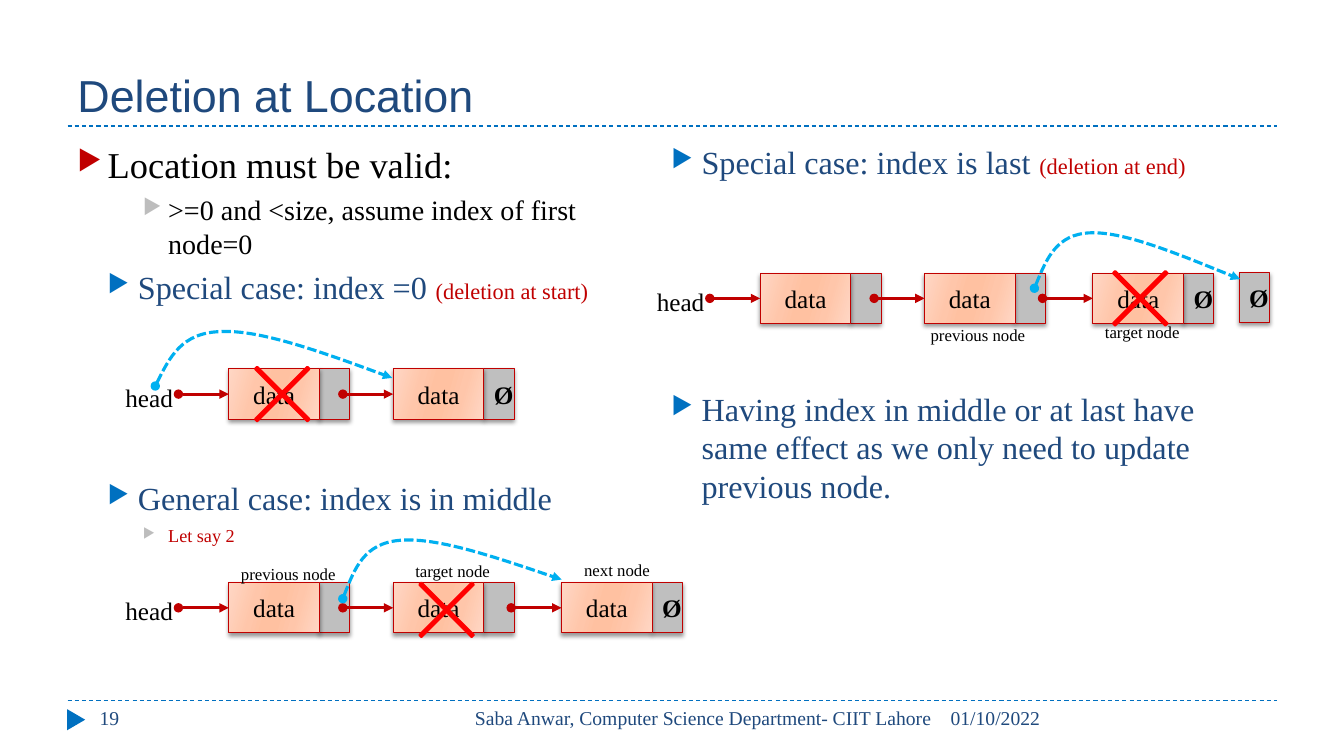
from lxml.etree import SubElement
from pptx import Presentation
from pptx.dml.color import RGBColor
from pptx.enum.dml import MSO_LINE
from pptx.enum.shapes import MSO_CONNECTOR, MSO_SHAPE
from pptx.enum.text import MSO_ANCHOR, PP_ALIGN
from pptx.oxml.ns import qn
from pptx.util import Inches, Pt

NAVY = RGBColor(0x1F, 0x49, 0x7D)
BLUE = RGBColor(0x00, 0x70, 0xC0)
SKY = RGBColor(0x00, 0xB0, 0xF0)
DARK_RED = RGBColor(0xC0, 0x00, 0x00)
RED = RGBColor(0xFF, 0x00, 0x00)
GRAY = RGBColor(0xBF, 0xBF, 0xBF)
BULLET_GRAY = RGBColor(0xBD, 0xBD, 0xBD)
BLACK = RGBColor(0x00, 0x00, 0x00)
PEACH_STOPS = [(0, "FFD7C5"), (30, "FFC6AA"), (45, "FFC1A1"),
               (55, "FFC1A1"), (73, "FFC6AA"), (100, "FFD7C5")]
SERIF = "Times New Roman"
LEVELS = [(0.3, 0.3, 6, DARK_RED), (0.6, 0.3, 5, BLUE), (0.9, 0.25, 5, BULLET_GRAY)]
NODE_OFFSETS = (1.14, 2.77, 4.44)
DATA_WIDTH, LINK_WIDTH, NODE_HEIGHT = 0.9, 0.3, 0.5


def add_element(parent, tag, **attributes):
    """Append a drawing element with the given attributes."""
    child = SubElement(parent, qn(tag))
    for name, value in attributes.items():
        child.set(name, str(value))
    return child


def write_text(paragraph, text, size=18, color=BLACK, font=SERIF, bold=False,
               align=PP_ALIGN.LEFT):
    """Add a formatted run to a paragraph."""
    paragraph.alignment = align
    run = paragraph.add_run()
    run.text = text
    run.font.name, run.font.size, run.font.bold = font, Pt(size), bold
    run.font.color.rgb = color


def add_text(slide, box, text, anchor=MSO_ANCHOR.TOP, **text_format):
    """Add a text box holding one line."""
    frame = slide.shapes.add_textbox(*map(Inches, box)).text_frame
    frame.word_wrap, frame.vertical_anchor = True, anchor
    write_text(frame.paragraphs[0], text, **text_format)


def set_bullet(paragraph, level):
    """Give a paragraph the arrow bullet and indent of its level."""
    margin, hanging, _, color = LEVELS[level]
    properties = paragraph._p.get_or_add_pPr()
    properties.set("marL", str(Inches(margin)))
    properties.set("indent", str(-Inches(hanging)))
    add_element(add_element(properties, "a:buClr"), "a:srgbClr", val=color)
    add_element(properties, "a:buSzPct", val=76000)
    add_element(properties, "a:buChar", char="▶")


def add_outline(slide, box, items):
    """Add a bulleted list of (level, runs) items."""
    frame = slide.shapes.add_textbox(*map(Inches, box)).text_frame
    frame.word_wrap = True
    for index, (level, runs) in enumerate(items):
        paragraph = frame.add_paragraph() if index else frame.paragraphs[0]
        set_bullet(paragraph, level)
        paragraph.level = level
        paragraph.space_before = Pt(LEVELS[level][2] if index else 0)
        for text, size, color in runs:
            write_text(paragraph, text, size=size, color=color)


def add_figure(slide, kind, box, fill, line=None, weight=0.75):
    """Add a preset shape without a shadow."""
    figure = slide.shapes.add_shape(kind, *map(Inches, box))
    figure.shadow.inherit = False
    figure.fill.solid()
    figure.fill.fore_color.rgb = fill
    if line is None:
        figure.line.fill.background()
    else:
        figure.line.color.rgb, figure.line.width = line, Pt(weight)
    return figure


def add_cell(slide, left, top, width, text="", bold=False):
    """Add one shadowed compartment of a list node."""
    cell = add_figure(slide, MSO_SHAPE.RECTANGLE, (left, top, width, NODE_HEIGHT), GRAY, DARK_RED)
    effects = cell._element.spPr.find(qn("a:effectLst"))
    shadow = add_element(effects, "a:outerShdw", blurRad=Pt(3), dist=Pt(2),
                         dir=90 * 60000, rotWithShape=0)
    shade = add_element(shadow, "a:srgbClr", val=BLACK)
    add_element(shade, "a:alpha", val=40000)
    cell.text_frame.vertical_anchor = MSO_ANCHOR.MIDDLE
    if text:
        write_text(cell.text_frame.paragraphs[0], text, bold=bold, align=PP_ALIGN.CENTER)
    return cell


def add_node(slide, left, top, link=""):
    """Add a node: a peach data cell and a gray link cell."""
    add_cell(slide, left + DATA_WIDTH, top, LINK_WIDTH, link, bold=True)
    data = add_cell(slide, left, top, DATA_WIDTH, "data")
    data.fill.gradient()
    data.fill.gradient_angle = 344
    stops = data._element.spPr.find(qn("a:gradFill")).find(qn("a:gsLst"))
    for stop in list(stops):
        stops.remove(stop)
    for position, color in PEACH_STOPS:
        add_element(add_element(stops, "a:gs", pos=position * 1000), "a:srgbClr", val=color)
    return data


def style_line(line, color, weight, dash=None, arrow=False):
    """Set a line's colour, weight, dash and pointer ends."""
    line.color.rgb, line.width = color, Pt(weight)
    if dash:
        line.dash_style = dash
    if arrow:
        outline = line._get_or_add_ln()
        add_element(outline, "a:headEnd", type="oval")
        add_element(outline, "a:tailEnd", type="triangle")


def add_line(slide, start, end, **line_format):
    """Add a straight line without a shadow."""
    line = slide.shapes.add_connector(MSO_CONNECTOR.STRAIGHT, *map(Inches, start + end))
    style_line(line.line, **line_format)
    add_element(line._element.spPr, "a:effectLst")
    return line


def add_linked_list(slide, left, top, links):
    """Add the head label and a chain of nodes joined by pointers."""
    add_text(slide, (left, top + 0.13, 0.7, 0.3), "head", anchor=MSO_ANCHOR.MIDDLE,
             align=PP_ALIGN.CENTER)
    middle = top + NODE_HEIGHT / 2
    nodes = [add_node(slide, left + offset, top, link)
             for offset, link in zip(NODE_OFFSETS, links)]
    for offset, node in zip(NODE_OFFSETS, nodes):
        x = left + offset
        pointer = add_line(slide, (x - 0.5, middle), (x, middle),
                           color=DARK_RED, weight=2.25, arrow=True)
        pointer.end_connect(node, 1)


def add_new_link(slide, points):
    """Add a dashed pointer made of two cubic curves."""
    corners = [(Inches(x), Inches(y)) for x, y in points]
    builder = slide.shapes.build_freeform(*corners[0])
    builder.add_line_segments(corners[1:], close=False)
    link = builder.convert_to_shape()
    link.shadow.inherit = False
    link.fill.background()
    style_line(link.line, SKY, 2.25, MSO_LINE.SQUARE_DOT, arrow=True)
    outline = next(link._element.iter(qn("a:path")))
    segments = outline.findall(qn("a:lnTo"))
    for first in range(0, len(segments), 3):
        curve = add_element(outline, "a:cubicBezTo")
        for segment in segments[first:first + 3]:
            curve.append(segment[0])
            outline.remove(segment)


def add_frame(slide):
    """Add the title, rules and footer."""
    for y in (1.25, 6.95):
        add_line(slide, (0.67, y), (12.67, y), color=BLUE, weight=0.75, dash=MSO_LINE.DASH)
    marker = add_figure(slide, MSO_SHAPE.ISOSCELES_TRIANGLE, (0.65, 7.05, 0.21, 0.18), BLUE)
    marker.rotation = 90
    add_text(slide, (0.67, 0.17, 12, 1.08), "Deletion at Location",
             anchor=MSO_ANCHOR.BOTTOM, size=32, font="Arial", color=NAVY)
    for left, width, text, align in (
            (9.33, 3.34, "01/10/2022", PP_ALIGN.LEFT),
            (4.23, 5.11, "Saba Anwar, Computer Science Department- CIIT Lahore", PP_ALIGN.RIGHT),
            (0.89, 2.89, "19", PP_ALIGN.LEFT)):
        add_text(slide, (left, 6.95, width, 0.4), text, size=14, color=NAVY, align=align)


def main():
    """Build the slide and save it."""
    deck = Presentation()
    deck.slide_width, deck.slide_height = Inches(13.33), Inches(7.5)
    slide = deck.slides.add_slide(deck.slide_layouts[6])
    add_frame(slide)
    add_outline(slide, (0.67, 1.36, 5.67, 1.8), [
        (0, [("Location must be valid:", 26, BLACK)]),
        (2, [(">=0 and <size, assume index of first node=0", 20, BLACK)]),
        (1, [("Special case: index =0 ", 23, NAVY), ("(deletion at start)", 16, DARK_RED)])])
    add_outline(slide, (0.67, 4.7, 5.67, 0.8), [
        (1, [("General case: index is in middle", 23, NAVY)]),
        (2, [("Let say 2", 13, DARK_RED)])])
    add_outline(slide, (6.26, 1.36, 6.4, 0.5), [
        (1, [("Special case: index is last ", 23, NAVY), ("(deletion at end)", 16, DARK_RED)])])
    add_outline(slide, (6.26, 3.81, 6.4, 1.3), [
        (1, [("Having index in middle or at last have same effect as we only need "
              "to update previous node.", 23, NAVY)])])
    add_linked_list(slide, 1.13, 3.66, ["", "Ø"])
    add_linked_list(slide, 1.13, 5.78, ["", "", "Ø"])
    add_linked_list(slide, 6.4, 2.71, ["", "", "Ø"])
    add_cell(slide, 12.29, 2.7, LINK_WIDTH, "Ø", bold=True)
    for left, top, label in ((3.66, 5.51, "target node"), (2.03, 5.54, "previous node"),
                             (5.29, 5.5, "next node"), (10.5, 3.14, "target node"),
                             (8.87, 3.17, "previous node")):
        add_text(slide, (left, top, 1.66, 0.31), label, anchor=MSO_ANCHOR.MIDDLE,
                 size=12, align=PP_ALIGN.CENTER)
    for points in (
            [(1.54, 3.83), (1.67, 3.57), (1.8, 3.3), (2.19, 3.29),
             (2.58, 3.27), (3.24, 3.51), (3.89, 3.75)],
            [(3.4, 5.94), (3.51, 5.66), (3.61, 5.39), (3.97, 5.36),
             (4.34, 5.33), (4.95, 5.54), (5.57, 5.75)],
            [(10.26, 2.86), (10.37, 2.59), (10.48, 2.32), (10.82, 2.31),
             (11.16, 2.3), (11.73, 2.54), (12.3, 2.77)]):
        add_new_link(slide, points)
    for left, top in ((2.3, 3.41), (3.93, 5.55), (10.81, 2.46)):
        cross = add_figure(slide, MSO_SHAPE.MATH_MULTIPLY, (left, top, 1, 1), RED, RED, 1.5)
        cross.adjustments[0] = 0.03


    deck.save("out.pptx")


if __name__ == "__main__":
    main()
